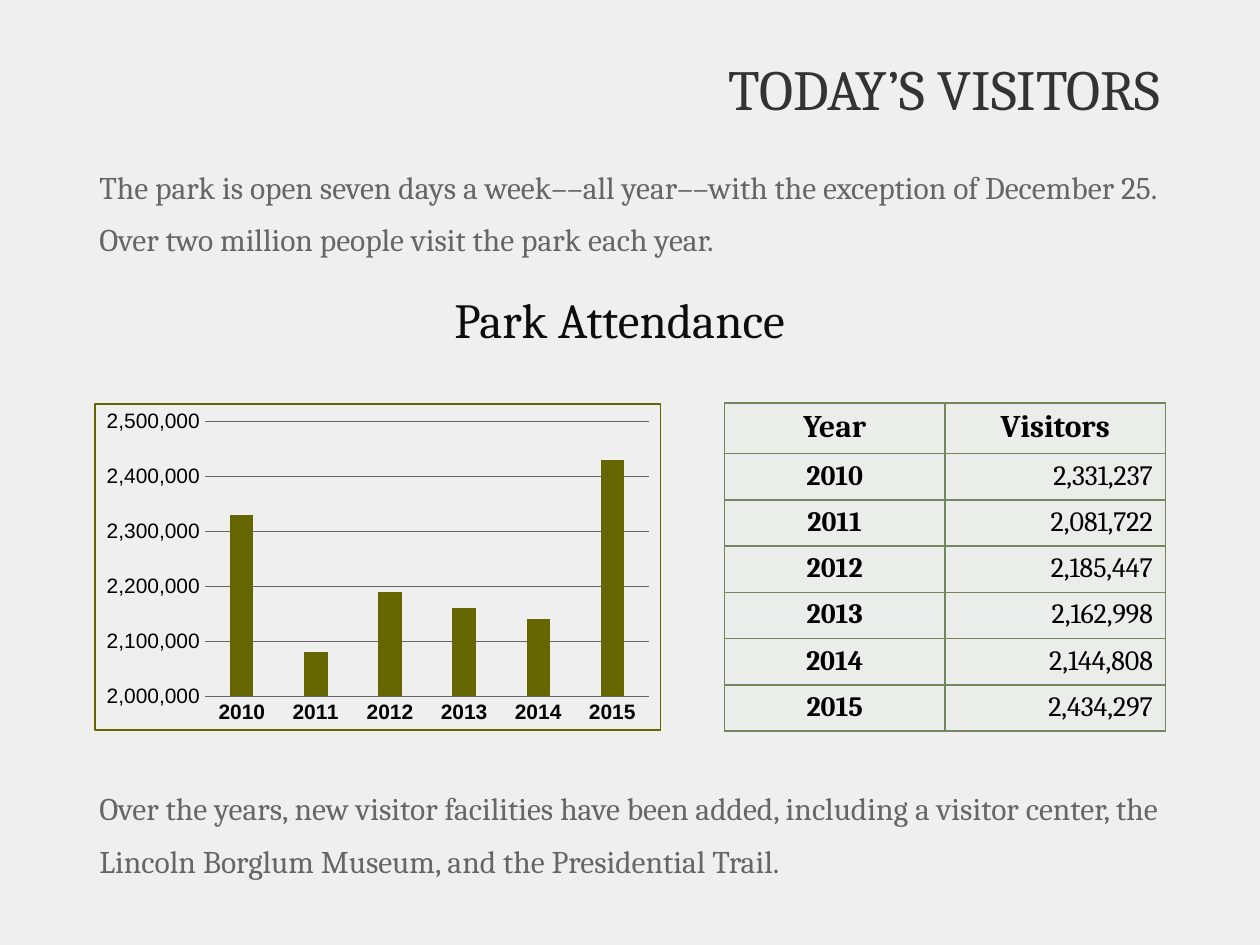
from pptx import Presentation
from pptx.chart.data import CategoryChartData
from pptx.dml.color import RGBColor
from pptx.enum.chart import XL_CHART_TYPE as ChartType, XL_TICK_MARK as Tick
from pptx.enum.text import MSO_ANCHOR as Anchor, PP_ALIGN as Align
from pptx.oxml import parse_xml
from pptx.oxml.ns import nsdecls, qn
from pptx.util import Pt

BACKGROUND = RGBColor(0xEF, 0xEF, 0xEF)
TITLE_GRAY = RGBColor(0x33, 0x33, 0x33)
BODY_GRAY = RGBColor(0x66, 0x66, 0x66)
HEADING_BLACK = RGBColor(0x0D, 0x0D, 0x0D)
BLACK = RGBColor(0, 0, 0)
OLIVE = RGBColor(0x66, 0x66, 0x00)
CELL_FILL = RGBColor(0xEB, 0xED, 0xEA)
CELL_BORDER = RGBColor(0x74, 0x85, 0x60)
SERIF = "Cambria"
SANS = "Arial"

ATTENDANCE = {
    "2010": 2331237,
    "2011": 2081722,
    "2012": 2185447,
    "2013": 2162998,
    "2014": 2144808,
    "2015": 2434297,
}


def style_font(font, name, size, color, bold=False):
    font.name, font.size, font.bold = name, Pt(size), bold
    font.color.rgb = color


def add_words(slide, box, words, size, color, align=Align.LEFT,
              anchor=Anchor.TOP, line_height=None):
    frame = slide.shapes.add_textbox(*map(Pt, box)).text_frame
    frame.word_wrap = True
    frame.vertical_anchor = anchor
    paragraph = frame.paragraphs[0]
    paragraph.alignment = align
    if line_height:
        paragraph.line_spacing = Pt(line_height)
    run = paragraph.add_run()
    run.text = words
    style_font(run.font, SERIF, size, color)


def line_xml(tag, color, width):
    return parse_xml(
        f'<a:{tag} {nsdecls("a")} w="{Pt(width)}"><a:solidFill>'
        f'<a:srgbClr val="{color}"/></a:solidFill></a:{tag}>')


def add_attendance_chart(slide, box):
    data = CategoryChartData(number_format="#,##0")
    data.categories = list(ATTENDANCE)
    data.add_series("Visitors", [round(n, -4) for n in ATTENDANCE.values()])
    chart = slide.shapes.add_chart(
        ChartType.COLUMN_CLUSTERED, *map(Pt, box), data).chart
    chart.has_legend = False
    chart.has_title = False
    style_font(chart.font, SANS, 12, BLACK)

    # Columns
    plot = chart.plots[0]
    plot.vary_by_categories = False
    plot.gap_width, plot.overlap = 219, -27
    columns = plot.series[0].format.fill
    columns.solid()
    columns.fore_color.rgb = OLIVE

    # Axes
    years, visitors = chart.category_axis, chart.value_axis
    for axis, bold in ((years, True), (visitors, False)):
        axis.major_tick_mark = axis.minor_tick_mark = Tick.NONE
        style_font(axis.tick_labels.font, SANS, 12, BLACK, bold)
    years.format.line.color.rgb = BODY_GRAY
    years.format.line.width = Pt(0.75)
    visitors.format.line.fill.background()
    visitors.minimum_scale, visitors.maximum_scale = 2000000, 2500000
    visitors.major_unit = 100000
    visitors.tick_labels.number_format = "#,##0"
    visitors.tick_labels.number_format_is_linked = False
    gridline = visitors.major_gridlines.format.line
    gridline.color.rgb = BODY_GRAY
    gridline.width = Pt(0.25)

    # Frame around the chart
    frame = parse_xml(f'<c:spPr {nsdecls("c", "a")}><a:noFill/></c:spPr>')
    frame.append(line_xml("ln", OLIVE, 1))
    chart.element.find(qn("c:chart")).addnext(frame)


def fill_cell(cell, words, size, align, bold):
    cell.fill.solid()
    cell.fill.fore_color.rgb = CELL_FILL
    paragraph = cell.text_frame.paragraphs[0]
    paragraph.alignment = align
    run = paragraph.add_run()
    run.text = words
    style_font(run.font, SERIF, size, BLACK, bold)
    properties = cell._tc.get_or_add_tcPr()
    for place, side in enumerate(("lnL", "lnR", "lnT", "lnB")):
        properties.insert(place, line_xml(side, CELL_BORDER, 1))


def add_attendance_table(slide, box, header_height=28.8):
    left, top, width, height = box
    row_count = len(ATTENDANCE) + 1
    table = slide.shapes.add_table(row_count, 2, *map(Pt, box)).table
    for column in table.columns:
        column.width = Pt(width / 2)
    for row in table.rows:
        row.height = Pt((height - header_height) / len(ATTENDANCE))
    table.rows[0].height = Pt(header_height)

    for column, heading in enumerate(("Year", "Visitors")):
        fill_cell(table.cell(0, column), heading, 18, Align.CENTER, True)
    for row, (year, count) in enumerate(ATTENDANCE.items(), 1):
        fill_cell(table.cell(row, 0), year, 16, Align.CENTER, True)
        fill_cell(table.cell(row, 1), f"{count:,}", 16, Align.RIGHT, False)


def build_visitors_slide(slide):
    slide.background.fill.solid()
    slide.background.fill.fore_color.rgb = BACKGROUND

    # Title and introduction
    add_words(slide, (49.7, 28.8, 620.6, 43.2), "TODAY’S VISITORS", 32.4,
              TITLE_GRAY, Align.RIGHT, Anchor.MIDDLE)
    add_words(slide, (49.7, 84, 622.8, 131.8),
              "The park is open seven days a week––all year––with the "
              "exception of December 25. Over two million people visit the "
              "park each year.", 18, BODY_GRAY, line_height=30)

    # Attendance figures
    add_words(slide, (54, 162, 600, 41), "Park Attendance", 28,
              HEADING_BLACK, Align.CENTER)
    add_attendance_chart(slide, (54, 230.4, 324, 187.2))
    add_attendance_table(slide, (414, 230.4, 252, 187.2))

    # Closing note
    add_words(slide, (49.7, 439.2, 622.8, 72),
              "Over the years, new visitor facilities have been added, "
              "including a visitor center, the Lincoln Borglum Museum, and "
              "the Presidential Trail.", 18, BODY_GRAY, line_height=30)


def main():
    deck = Presentation()
    deck.slide_width, deck.slide_height = Pt(720), Pt(540)
    build_visitors_slide(deck.slides.add_slide(deck.slide_layouts[6]))
    deck.save("out.pptx")


if __name__ == "__main__":
    main()
